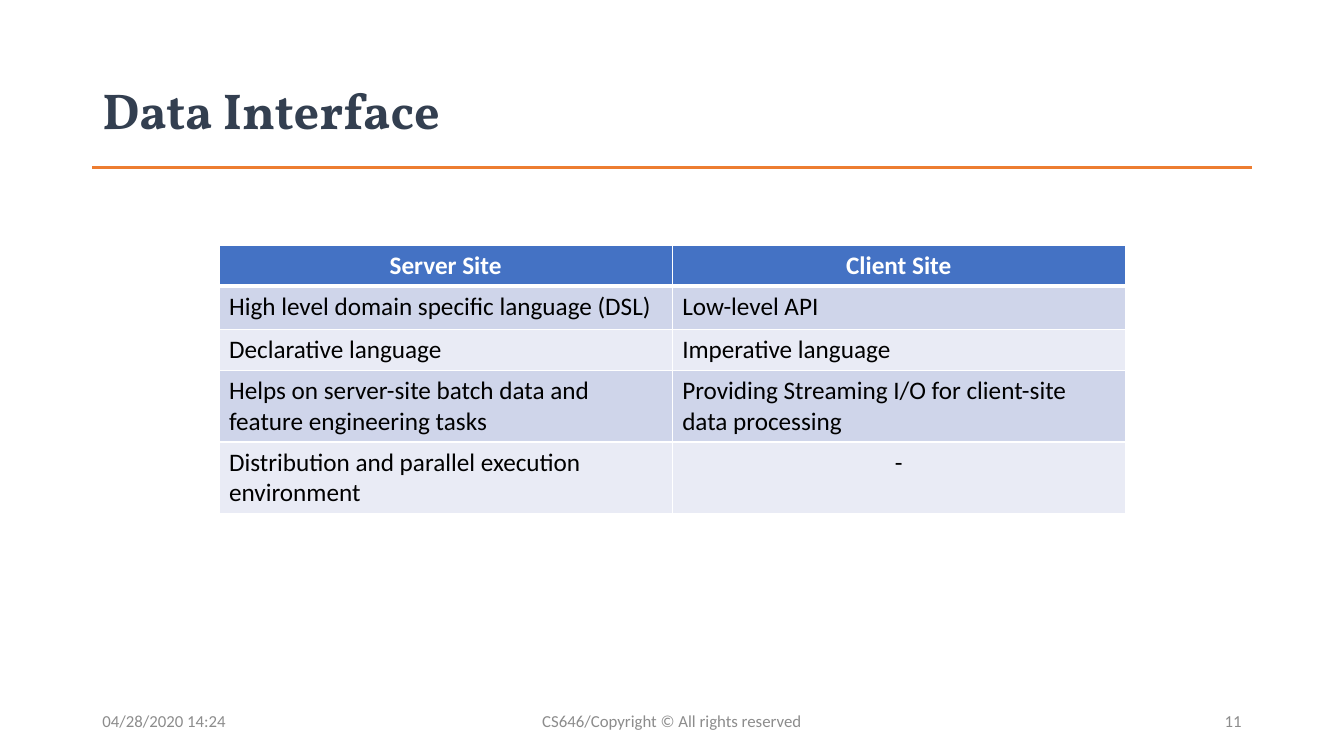
from lxml import etree
from pptx import Presentation
from pptx.dml.color import RGBColor
from pptx.enum.shapes import MSO_CONNECTOR
from pptx.enum.text import MSO_ANCHOR, PP_ALIGN
from pptx.oxml.ns import qn
from pptx.util import Cm, Pt

LEFT, CENTER, RIGHT = PP_ALIGN.LEFT, PP_ALIGN.CENTER, PP_ALIGN.RIGHT
MIDDLE = MSO_ANCHOR.MIDDLE
STRAIGHT = MSO_CONNECTOR.STRAIGHT

COLORS = {
    "title": "333F50",
    "rule": "ED7D31",
    "header": "4472C4",
    "odd_row": "CFD5EA",
    "even_row": "E9EBF5",
    "white": "FFFFFF",
    "black": "000000",
    "footer": "8C8C8C",
}
MARGIN = 2.33
CONTENT_WIDTH = 29.21
ROWS = [
    ("Server Site", "Client Site"),
    ("High level domain specific language (DSL)", "Low-level API"),
    ("Declarative language", "Imperative language"),
    ("Helps on server-site batch data and feature engineering tasks",
     "Providing Streaming I/O for client-site data processing"),
    ("Distribution and parallel execution environment", "-"),
]
ROW_HEIGHTS = [1.03, 1.1, 1.03, 1.8, 1.8]


def color(name):
    return RGBColor.from_string(COLORS[name])


def format_paragraph(paragraph, size, color_name, alignment=LEFT, font="Calibri", bold=False):
    paragraph.alignment = alignment
    for run in paragraph.runs:
        run.font.name = font
        run.font.size = Pt(size)
        run.font.bold = bold
        run.font.color.rgb = color(color_name)


def add_text(slide, text, left, top, width, height, size, color_name, **style):
    text_frame = slide.shapes.add_textbox(Cm(left), Cm(top), Cm(width), Cm(height)).text_frame
    text_frame.word_wrap = True
    text_frame.vertical_anchor = MIDDLE
    text_frame.text = text
    paragraph = text_frame.paragraphs[0]
    format_paragraph(paragraph, size, color_name, **style)
    return paragraph


def add_rule(slide, top):
    rule = slide.shapes.add_connector(
        STRAIGHT, Cm(MARGIN), Cm(top), Cm(MARGIN + CONTENT_WIDTH), Cm(top))
    rule.line.color.rgb = color("rule")
    rule.line.width = Pt(1.5)
    etree.SubElement(rule._element.spPr, qn("a:effectLst"))


def set_borders(cell, top, bottom):
    properties = cell._tc.get_or_add_tcPr()
    for side, width in (("L", 1), ("R", 1), ("T", top), ("B", bottom)):
        line = etree.SubElement(properties, qn(f"a:ln{side}"), w=str(Pt(width)))
        fill = etree.SubElement(line, qn("a:solidFill"))
        etree.SubElement(fill, qn("a:srgbClr"), val=COLORS["white"])


def fill_cell(cell, text, row_index):
    is_header = row_index == 0
    set_borders(cell, 3 if row_index == 1 else 1, 3 if is_header else 1)
    cell.fill.solid()
    band = "odd_row" if row_index % 2 else "even_row"
    cell.fill.fore_color.rgb = color("header" if is_header else band)
    cell.text_frame.text = text
    format_paragraph(cell.text_frame.paragraphs[0], 18, "white" if is_header else "black",
                     CENTER if is_header or text == "-" else LEFT, bold=is_header)


def add_comparison_table(slide, left, top, width):
    table = slide.shapes.add_table(len(ROWS), len(ROWS[0]), Cm(left), Cm(top),
                                   Cm(width), Cm(sum(ROW_HEIGHTS))).table
    for row_index, (texts, height) in enumerate(zip(ROWS, ROW_HEIGHTS)):
        table.rows[row_index].height = Cm(height)
        for column_index, text in enumerate(texts):
            fill_cell(table.cell(row_index, column_index), text, row_index)


def add_footer(slide):
    right = MARGIN + CONTENT_WIDTH
    for text, left, width, alignment in (
        ("04/28/2020 14:24", MARGIN, 7.62, LEFT),
        ("CS646/Copyright © All rights reserved", 11.22, 11.43, CENTER),
        ("11", right - 7.62, 7.62, RIGHT),
    ):
        add_text(slide, text, left, 17.65, width, 1.01, 12, "footer", alignment=alignment)


def main():
    presentation = Presentation()
    presentation.slide_width = Cm(33.87)
    presentation.slide_height = Cm(19.05)
    slide = presentation.slides.add_slide(presentation.slide_layouts[6])
    add_rule(slide, 4.22)
    title = add_text(slide, "Data Interface", MARGIN, 1.01, CONTENT_WIDTH, 3.68, 36, "title",
                     font="Vollkorn", bold=True)
    title.line_spacing = 0.9
    add_comparison_table(slide, 5.52, 6.18, 22.84)
    add_footer(slide)
    presentation.save("out.pptx")


if __name__ == "__main__":
    main()
